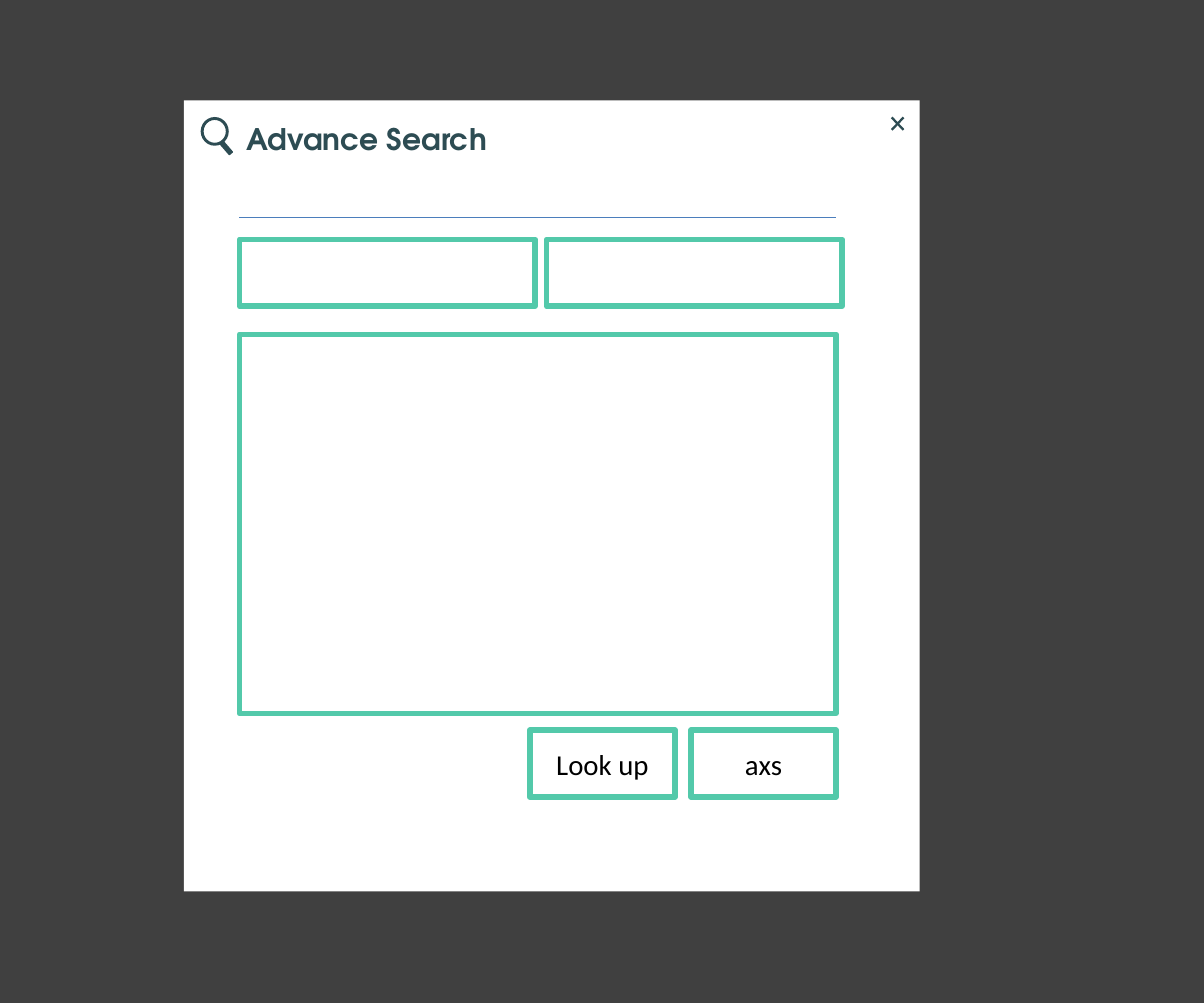
from lxml.etree import SubElement
from pptx import Presentation
from pptx.dml.color import RGBColor
from pptx.enum.shapes import MSO_CONNECTOR, MSO_SHAPE
from pptx.enum.text import MSO_ANCHOR, MSO_AUTO_SIZE, PP_ALIGN
from pptx.oxml.ns import qn
from pptx.util import Inches, Pt

BACKDROP, WHITE, DARK = "404040", "FFFFFF", "2D4C53"
GREEN, BLUE, BLACK = "53C9AA", "4B7EBC", "000000"


def rgb(value):
    return RGBColor.from_string(value)


class Dialog:
    """Draws the elements of a search dialog on one slide."""

    def __init__(self, slide):
        self.s = slide

    def add_text(self, tf, text, font, size, color, align, anchor, bold=False):
        tf.word_wrap = True
        tf.vertical_anchor = anchor
        p = tf.paragraphs[0]
        p.alignment = align
        r = p.add_run()
        r.text = text
        r.font.name = font
        r.font.size = Pt(size)
        r.font.bold = bold
        r.font.color.rgb = rgb(color)

    def shape(self, kind, x, y, w, h, fill=None, adj=None, shapes=None):
        shapes = shapes or self.s.shapes
        sp = shapes.add_shape(kind, Inches(x), Inches(y), Inches(w), Inches(h))
        sp.shadow.inherit = False
        sp.line.fill.background()
        if fill:
            sp.fill.solid()
            sp.fill.fore_color.rgb = rgb(fill)
        else:
            sp.fill.background()
        if adj is not None:
            sp.adjustments[0] = adj
        return sp

    def box(self, x, y, w, h, text=None):
        sp = self.shape(MSO_SHAPE.RECTANGLE, x, y, w, h)
        sp.line.color.rgb = rgb(GREEN)
        sp.line.width = Pt(6)
        if text:
            self.add_text(sp.text_frame, text, "Calibri", 31, BLACK,
                          PP_ALIGN.CENTER, MSO_ANCHOR.MIDDLE)

    def magnifier(self, x, y):
        group = self.s.shapes.add_group_shape()
        shapes = group.shapes
        self.shape(MSO_SHAPE.DONUT, x, y, 0.42, 0.43, DARK, 0.105, shapes)
        handle = self.shape(MSO_SHAPE.FLOWCHART_ALTERNATE_PROCESS,
                            x + 0.26, y + 0.42, 0.24, 0.08, DARK, shapes=shapes)
        handle.rotation = 49.2

    def title(self, text, x, y, w, h):
        sp = self.s.shapes.title
        sp.left, sp.top, sp.width, sp.height = map(Inches, (x, y, w, h))
        sp.text_frame.auto_size = MSO_AUTO_SIZE.NONE
        self.add_text(sp.text_frame, text, "TeX Gyre Adventor", 32, DARK,
                      PP_ALIGN.LEFT, MSO_ANCHOR.TOP, bold=True)
        sp.element.getparent().append(sp.element)

    def rule(self, x1, x2, y):
        line = self.s.shapes.add_connector(
            MSO_CONNECTOR.STRAIGHT, Inches(x1), Inches(y), Inches(x2), Inches(y))
        line.line.color.rgb = rgb(BLUE)
        line.line.width = Pt(0.75)
        SubElement(line.element.spPr, qn("a:effectLst"))


prs = Presentation()
prs.slide_width, prs.slide_height = Inches(18), Inches(15)
dialog = Dialog(prs.slides.add_slide(prs.slide_layouts[5]))

left, right = 3.58, 12.5
dialog.shape(MSO_SHAPE.RECTANGLE, 0, 0, 18, 15, BACKDROP)
dialog.shape(MSO_SHAPE.RECTANGLE, 2.75, 1.5, 11, 11.83, WHITE)
dialog.shape(MSO_SHAPE.MATH_MULTIPLY, 13.25, 1.67, 0.34, 0.36, DARK, 0.1)
dialog.magnifier(3, 1.75)
dialog.title("Advance Search", left, 1.75, 4.5, 0.64)
dialog.rule(left, right, 3.25)

for field_x in (left, 8.17):
    dialog.box(field_x, 3.58, 4.42, 1)
dialog.box(left, 5, right - left, 5.67)
for button_x, label in ((7.92, "Look up"), (10.33, "axs")):
    dialog.box(button_x, 10.92, 2.17, 1, label)

prs.save("out.pptx")
